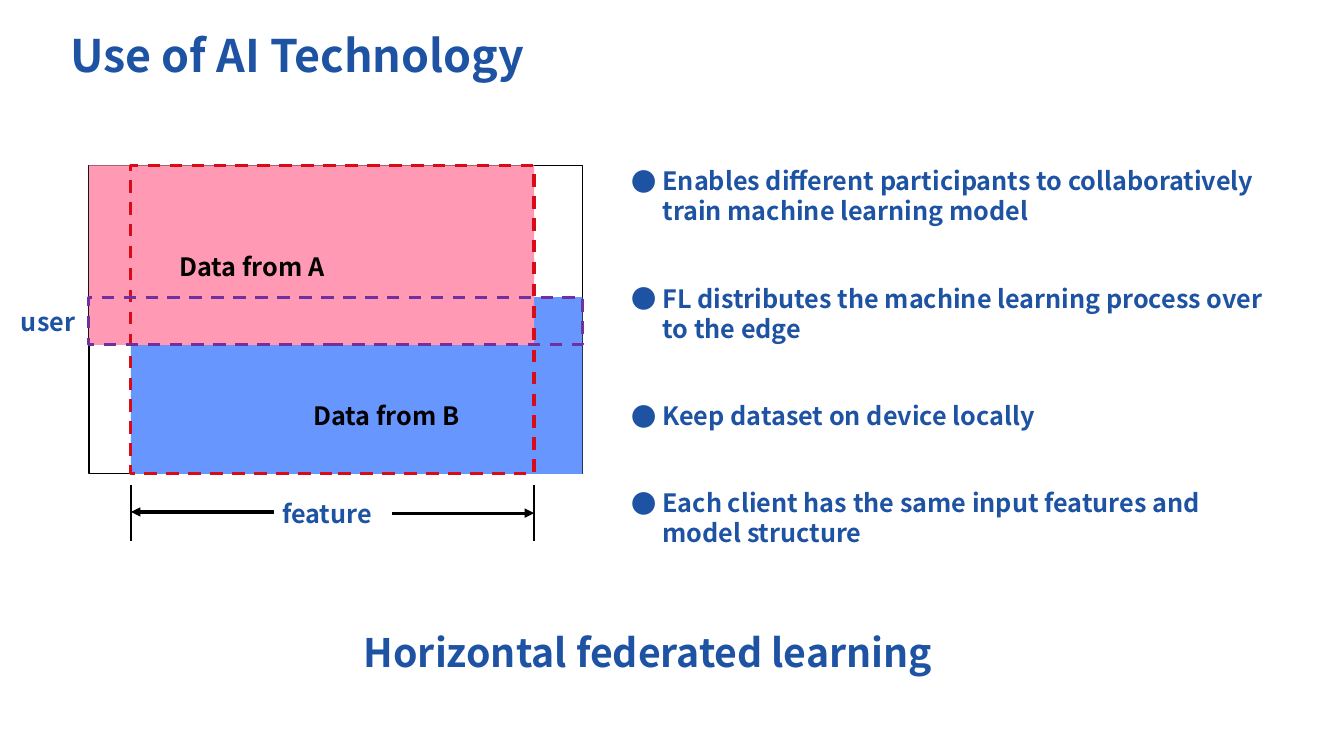
"""Build the slide on horizontal federated learning."""
import pptx
import pptx.dml.color
import pptx.enum.dml
import pptx.enum.shapes
import pptx.enum.text
import pptx.oxml
import pptx.oxml.ns
import pptx.util

Cm, Pt = pptx.util.Cm, pptx.util.Pt
RGB = pptx.dml.color.RGBColor
Fit = pptx.enum.text.MSO_AUTO_SIZE
FONT = "Noto Sans CJK SC"
NAVY = RGB(0x1E, 0x53, 0xA4)
BLACK = RGB(0x00, 0x00, 0x00)
BLUE = RGB(0x67, 0x96, 0xFF)
PINK = RGB(0xFF, 0x99, 0xB4)
RED = RGB(0xD8, 0x0C, 0x18)
PURPLE = RGB(0x70, 0x30, 0xA0)

TITLE = "Use of AI Technology"
POINTS = [
    "Enables different participants to collaboratively train machine learning model",
    "FL distributes the machine learning process over to the edge",
    "Keep dataset on device locally",
    "Each client has the same input features and model structure",
]
COLS = (2.24, 3.3, 13.46, 14.68)
ROWS = (4.17, 7.49, 8.69, 11.94)
# left col, top row, right col, bottom row, fill, line, width, dashed
RECTS = [
    (0, 0, 3, 3, None, BLACK, 1, False),
    (1, 1, 3, 3, BLUE, None, 0, False),
    (0, 0, 2, 2, PINK, None, 0, False),
    (1, 0, 2, 3, None, RED, 2.25, True),
    (0, 1, 3, 2, None, PURPLE, 2.25, True),
]
LABELS = [
    ("Data from A", 4.27, 6.2, 4.47, 1.02, 18, BLACK),
    ("Data from B", 7.65, 9.96, 4.47, 1.02, 18, BLACK),
    ("feature", 6.86, 12.42, 2.84, 1.02, 18, NAVY),
    ("user", 0.28, 7.59, 1.88, 1.02, 18, NAVY),
    ("Horizontal federated learning", 8.92, 15.72, 15.39, 1.45, 28, NAVY),
]
LINES = [
    (COLS[1], 12.22, COLS[1], 13.64, 1.5, False),
    (COLS[2], 12.22, COLS[2], 13.64, 1.5, False),
    (9.88, 12.93, COLS[2], 12.93, 2.25, True),
    (6.91, 12.9, COLS[1], 12.9, 2.25, True),
]


def node(tag, **attrs):
    """Make a drawing element."""
    item = pptx.oxml.parse_xml(f'<a:{tag} {pptx.oxml.ns.nsdecls("a")}/>')
    for key, val in attrs.items():
        item.set(key, val)
    return item


def write(para, text, size, color):
    """Add one bold run to a paragraph."""
    run = para.add_run()
    run.text = text
    font = run.font
    font.name, font.size, font.bold = FONT, Pt(size), True
    font.color.rgb = color


def place(shape, left, top, width, height):
    """Move and size a shape in centimetres."""
    shape.left, shape.top = Cm(left), Cm(top)
    shape.width, shape.height = Cm(width), Cm(height)


def label(shape, text, size, color):
    """Fill a one-line text shape that does not wrap."""
    frame = shape.text_frame
    frame.word_wrap = False
    frame.auto_size = Fit.SHAPE_TO_FIT_TEXT
    frame.vertical_anchor = pptx.enum.text.MSO_ANCHOR.TOP
    para = frame.paragraphs[0]
    para.alignment = pptx.enum.text.PP_ALIGN.LEFT
    write(para, text, size, color)


def rect(slide, x1, y1, x2, y2, fill, line, width, dashed):
    """Draw a block or frame between grid lines."""
    left, top = COLS[x1], ROWS[y1]
    shape = slide.shapes.add_shape(
        pptx.enum.shapes.MSO_SHAPE.RECTANGLE, Cm(left), Cm(top),
        Cm(COLS[x2] - left), Cm(ROWS[y2] - top))
    shape.shadow.inherit = False
    if fill is None:
        shape.fill.background()
    else:
        shape.fill.solid()
        shape.fill.fore_color.rgb = fill
    if line is None:
        shape.line.fill.background()
    else:
        shape.line.color.rgb = line
        shape.line.width = Pt(width)
    if dashed:
        shape.line.dash_style = pptx.enum.dml.MSO_LINE.DASH


def rule(slide, x1, y1, x2, y2, width, arrow):
    """Draw a black line, with an arrowhead if asked."""
    link = slide.shapes.add_connector(
        pptx.enum.shapes.MSO_CONNECTOR.STRAIGHT, Cm(x1), Cm(y1), Cm(x2), Cm(y2))
    link.line.color.rgb = BLACK
    link.line.width = Pt(width)
    if arrow:
        link.line._get_or_add_ln().append(node("tailEnd", type="triangle"))
    link._element.spPr.append(node("effectLst"))


def bullets(body):
    """Write the list of points."""
    frame = body.text_frame
    frame.word_wrap = True
    frame.auto_size = Fit.NONE
    for num, text in enumerate(POINTS):
        para = frame.add_paragraph() if num else frame.paragraphs[0]
        props = para._p.get_or_add_pPr()
        props.set("marL", str(Cm(0.79)))
        props.set("indent", str(-Cm(0.79)))
        props.append(node("buFont", typeface=FONT))
        props.append(node("buChar", char="●"))
        para.space_before = Pt(40.7 if num else 0)
        write(para, text, 18, NAVY)


def main():
    """Build and save the deck."""
    deck = pptx.Presentation()
    deck.slide_width, deck.slide_height = Cm(33.87), Cm(19.05)
    slide = deck.slides.add_slide(deck.slide_layouts[1])
    title, body = slide.placeholders
    place(title, 1.52, 0.56, 12.65, 1.63)
    label(title, TITLE, 32, NAVY)
    place(body, 15.65, 4.04, 16.81, 9.88)
    bullets(body)
    for item in RECTS:
        rect(slide, *item)
    for text, left, top, width, height, size, color in LABELS:
        box = slide.shapes.add_textbox(0, 0, 0, 0)
        place(box, left, top, width, height)
        label(box, text, size, color)
    for item in LINES:
        rule(slide, *item)
    deck.save("out.pptx")


if __name__ == "__main__":
    main()
